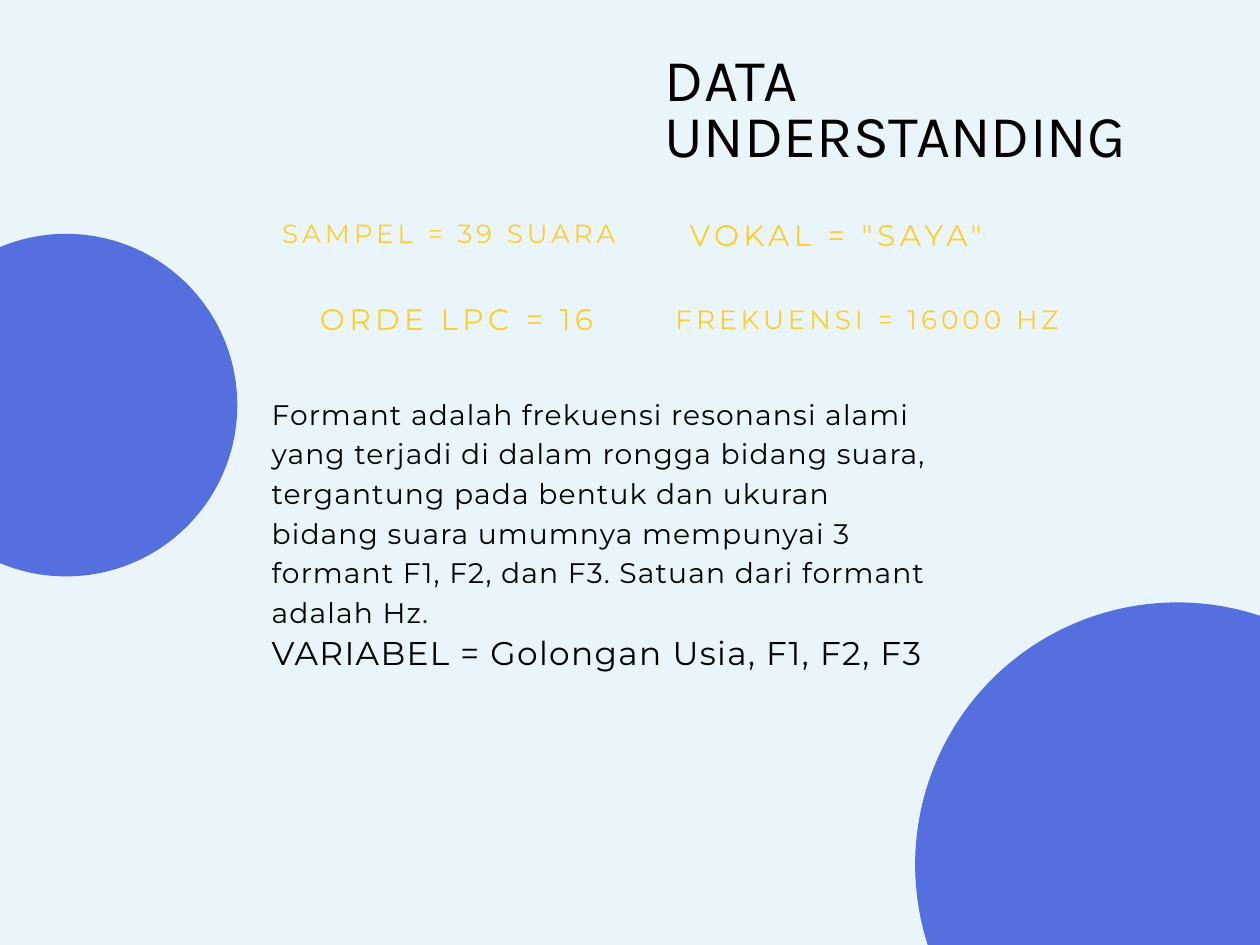
from pptx import Presentation, util as u
from pptx.dml.color import RGBColor
from pptx.enum import shapes, text

THEME = {
    "bg": "E9F5FA", "circle": "556FDE", "ink": "000000", "accent": "FFCE2B",
    "heading": "Karla", "body": "Montserrat",
    "title": (36.2, 34, 0), "para": (17.2, 24.2, 0.7), "variable": (20, 28, 0.8),
    "large": (18.1, 17, 2.7), "medium": (16.1, 15.2, 2.4), "small": (16, 15, 2.4),
}

TITLE = ("DATA UNDERSTANDING", (5.63, 0.49, 5.04, 0.97), "title", "heading", "ink")
CIRCLES = [(0.56, 3.43, 1.45), (9.97, 7.32, 2.22)]
FACTS = [
    ("SAMPEL = 39 SUARA", (2.39, 1.9, 3.33, 0.22), "small"),
    ('VOKAL = "SAYA"', (5.84, 1.9, 2.7, 0.25), "large"),
    ("ORDE LPC = 16", (2.71, 2.61, 2.7, 0.25), "large"),
    ("FREKUENSI = 16000 HZ", (5.72, 2.62, 3.9, 0.22), "medium"),
]
BODY = [
    ("Formant adalah frekuensi resonansi alami yang terjadi di dalam rongga bidang "
     "suara, tergantung pada bentuk dan ukuran bidang suara umumnya mempunyai 3 "
     "formant F1, F2, dan F3. Satuan dari formant adalah Hz.",
     (2.3, 3.31, 5.69, 1.67), "para"),
    ("VARIABEL = Golongan Usia, F1, F2, F3", (2.3, 5.3, 5.69, 0.38), "variable"),
]


def rgb(name):
    return RGBColor.from_string(THEME[name])


def set_all(obj, values):
    for name, value in values.items():
        setattr(obj, name, value)


def add_circle(s, cx, cy, radius):
    box = (cx - radius, cy - radius, 2 * radius, 2 * radius)
    sp = s.shapes.add_shape(shapes.MSO_SHAPE.OVAL, *map(u.Inches, box))
    sp.shadow.inherit = False
    sp.fill.solid()
    sp.fill.fore_color.rgb = rgb("circle")
    sp.line.fill.background()


def write(sp, content, box, style, font="body", color="ink"):
    size, leading, tracking = THEME[style]
    set_all(sp, dict(zip(("left", "top", "width", "height"), map(u.Inches, box))))
    tf = sp.text_frame
    set_all(tf, {
        "margin_left": 0, "margin_top": 0, "margin_right": 0, "margin_bottom": 0,
        "word_wrap": True, "vertical_anchor": text.MSO_ANCHOR.TOP,
        "auto_size": text.MSO_AUTO_SIZE.SHAPE_TO_FIT_TEXT,
    })
    p = tf.paragraphs[0]
    set_all(p, {"alignment": text.PP_ALIGN.LEFT, "line_spacing": u.Pt(leading),
                "space_before": u.Pt(0)})
    r = p.add_run()
    r.text = content
    set_all(r.font, {"size": u.Pt(size), "name": THEME[font]})
    r.font.color.rgb = rgb(color)
    r._r.get_or_add_rPr().set("spc", str(round(tracking * 100)))


def main():
    prs = Presentation()
    set_all(prs, {"slide_width": u.Inches(10.67), "slide_height": u.Inches(8)})
    s = prs.slides.add_slide(prs.slide_layouts[5])
    s.background.fill.solid()
    s.background.fill.fore_color.rgb = rgb("bg")
    for circle in CIRCLES:
        add_circle(s, *circle)
    write(s.shapes.title, *TITLE)
    for items, color in ((FACTS, "accent"), (BODY, "ink")):
        for content, box, style in items:
            sp = s.shapes.add_textbox(*map(u.Inches, box))
            write(sp, content, box, style, color=color)
    prs.save("out.pptx")


if __name__ == "__main__":
    main()
